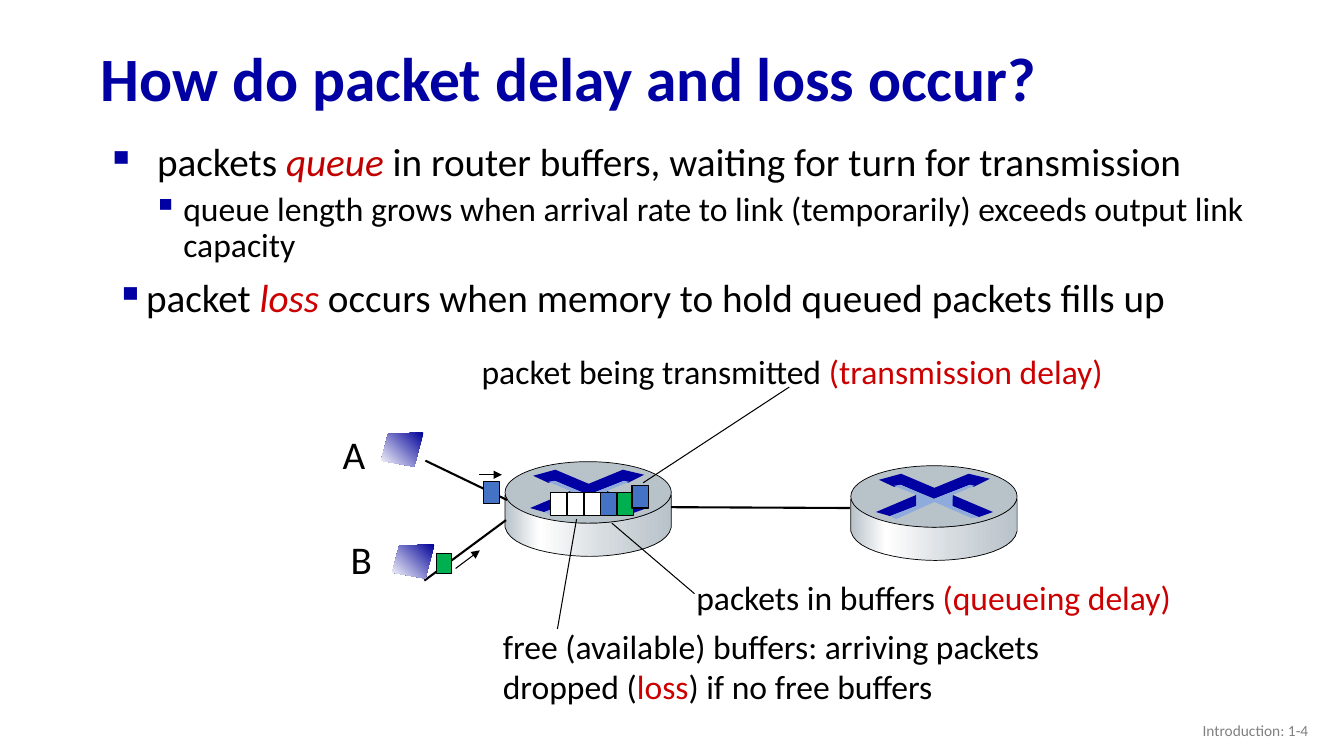
from lxml import etree
from pptx import Presentation
from pptx import util as u
from pptx.dml.color import RGBColor
from pptx.enum import shapes, text
from pptx.oxml.ns import qn

# The grid has 10 columns and 10 rows to the inch.
CELL = u.Inches(0.1)
COLUMNS, ROWS = 133.33, 75

NAVY = RGBColor(0x00, 0x00, 0xA3)
LAPTOP_NAVY = RGBColor(0x00, 0x00, 0x99)
STEEL = RGBColor(0xB8, 0xC2, 0xC9)
PALE_STEEL = RGBColor(0xD6, 0xDC, 0xE0)
LIGHT_BLUE = RGBColor(0x8F, 0xAA, 0xDC)
BLUE = RGBColor(0x44, 0x72, 0xC4)
GREEN = RGBColor(0x00, 0xB0, 0x50)
DARK_RED = RGBColor(0xC0, 0x00, 0x00)
RED = RGBColor(0xCC, 0x00, 0x00)
GREY = RGBColor(0x80, 0x80, 0x80)
BLACK = RGBColor(0x00, 0x00, 0x00)
WHITE = RGBColor(0xFF, 0xFF, 0xFF)

# Router outlines, in grid cells from the router's top left corner.
TOP_ARROWS = [(11.7, 0.8), (13.8, 1.3), (12.2, 2.1), (11.8, 1.9), (8.2, 3.3),
              (5, 1.9), (4.3, 2.1), (2.8, 1.4), (5, 0.8), (8.3, 2.2)]
RIGHT_ARROW = [(10.1, 2.9), (14.1, 4.6), (12.7, 5.1), (10, 4)]
LEFT_ARROW = [(6.5, 2.9), (6.5, 4), (3.9, 5), (2.5, 4.6)]
ARROW_SIDES = [(4.3, 2), (4.9, 1.9), (8.3, 3.3), (11.8, 1.9), (12.3, 2),
               (10.1, 2.9), (10.1, 4), (12.7, 5.1), (12, 5.2), (8.3, 3.6),
               (4.5, 5.3), (3.9, 5), (6.5, 4), (6.5, 2.9)]
LAPTOP = [(4.2, 0), (0.7, 0.15), (0, 2.8), (3.3, 3.4)]


def cells(*counts):
    return [round(count * CELL) for count in counts]


def curve(start, pull_1, pull_2, end, steps=12):
    """Points of a cubic Bezier curve, without its start."""
    points = []
    for step in range(1, steps + 1):
        t = step / steps
        weights = ((1 - t) ** 3, 3 * t * (1 - t) ** 2, 3 * t * t * (1 - t), t ** 3)
        knots = (start, pull_1, pull_2, end)
        points.append(tuple(sum(w * knot[axis] for w, knot in zip(weights, knots))
                            for axis in (0, 1)))
    return points


def paint(shape, fill, outline):
    """Fill with a colour, or with a (stops, angle) gradient, and set the outline."""
    shape.shadow.inherit = False
    if isinstance(fill, RGBColor):
        shape.fill.solid()
        shape.fill.fore_color.rgb = fill
    else:
        stops, angle = fill
        shape.fill.gradient()
        shape.fill.gradient_angle = angle
        stop_list = shape.element.spPr.find(".//" + qn("a:gsLst"))
        for old_stop in list(stop_list):
            stop_list.remove(old_stop)
        for percent, colour in stops:
            stop = etree.SubElement(stop_list, qn("a:gs"), pos=str(percent * 1000))
            etree.SubElement(stop, qn("a:srgbClr"), val=str(colour))
    if outline:
        shape.line.color.rgb = BLACK
        shape.line.width = u.Pt(outline)
    else:
        shape.line.fill.background()


def add_outline(slide, origin, points, fill, outline=None):
    corners = [cells(origin[0] + x, origin[1] + y) for x, y in points]
    builder = slide.shapes.build_freeform(*corners[0])
    builder.add_line_segments(corners[1:], close=True)
    paint(builder.convert_to_shape(), fill, outline)


def add_preset(slide, kind, box, fill, outline):
    paint(slide.shapes.add_shape(kind, *cells(*box)), fill, outline)


def add_packet(slide, column, row, colour, width=1.6, height=2.2):
    add_preset(slide, shapes.MSO_SHAPE.RECTANGLE, (column, row, width, height), colour, 0.75)


def add_line(slide, start, end, weight=0.75, arrow=False):
    line = slide.shapes.add_connector(shapes.MSO_CONNECTOR.STRAIGHT, *cells(*start, *end))
    line.line.color.rgb = BLACK
    line.line.width = u.Pt(weight)
    if arrow:
        etree.SubElement(line.line._get_or_add_ln(), qn("a:tailEnd"), type="triangle")
    etree.SubElement(line.element.spPr, qn("a:effectLst"))


def set_bullet(paragraph, left, hanging):
    props = paragraph._p.get_or_add_pPr()
    props.set("marL", str(u.Inches(left)))
    props.set("indent", str(-u.Inches(hanging)))
    colour = etree.SubElement(props, qn("a:buClr"))
    etree.SubElement(colour, qn("a:srgbClr"), val=str(NAVY))
    etree.SubElement(props, qn("a:buChar"), char="▪")


def write(paragraph, words, size=24, colour=BLACK, accent=RED, bold=False, slant=False,
          align=text.PP_ALIGN.LEFT, spacing=None, before=0, bullet=None):
    """Write words into a paragraph; parts between | marks take the accent colour."""
    paragraph.alignment = align
    paragraph.line_spacing = spacing
    paragraph.space_before = u.Pt(before)
    if bullet:
        set_bullet(paragraph, *bullet)
    for index, part in enumerate(words.split("|")):
        if not part:
            continue
        accented = index % 2 == 1
        run = paragraph.add_run()
        run.text = part
        run.font.name = "Calibri"
        run.font.size = u.Pt(size)
        run.font.bold = bold
        run.font.italic = slant and accented
        run.font.color.rgb = accent if accented else colour


def add_text(slide, box, *lines, wrap=False, anchor=text.MSO_ANCHOR.TOP, **style):
    """Add a text box; a line is its words, or (words, format of its own)."""
    frame = slide.shapes.add_textbox(*cells(*box)).text_frame
    frame.word_wrap = wrap
    frame.vertical_anchor = anchor
    for index, line in enumerate(lines):
        words, own = (line, {}) if isinstance(line, str) else line
        paragraph = frame.add_paragraph() if index else frame.paragraphs[0]
        write(paragraph, words, **{**style, **own})


def add_router(slide, column, row):
    origin = (column, row)
    metal = ([(0, STEEL), (21, WHITE), (60, PALE_STEEL), (100, STEEL)], 0)
    side = [(16.5, 3.3), (16.5, 6.5),
            *curve((16.5, 6.5), (16.1, 8.7), (11.1, 9.4), (8.4, 9.4)),
            *curve((8.4, 9.4), (5.6, 9.4), (0.5, 8.7), (0, 6.5)), (0, 3.3),
            *curve((0, 3.3), (0.8, 5.2), (5.5, 6.1), (8.3, 6.1)),
            *curve((8.3, 6.1), (11, 6.1), (15.8, 5.4), (16.5, 3.3))]
    add_outline(slide, origin, side, metal, 0.5)
    add_preset(slide, shapes.MSO_SHAPE.OVAL, (column, row, 16.5, 6.1), STEEL, 0.5)
    for arrow in (TOP_ARROWS, RIGHT_ARROW, LEFT_ARROW):
        add_outline(slide, origin, arrow, NAVY)
    add_outline(slide, origin, ARROW_SIDES, LIGHT_BLUE)


def add_host(slide, name, label_box, laptop_at):
    add_text(slide, label_box, name, size=28)
    add_outline(slide, laptop_at, LAPTOP, ([(0, LAPTOP_NAVY), (100, WHITE)], 225))


def add_network(slide):
    add_line(slide, (63.2, 50.3), (84.3, 50.4), weight=1.5)
    add_router(slide, 50.1, 45.8)
    add_router(slide, 84.4, 46.2)
    add_line(slide, (42.2, 45.7), (50.3, 49.6), weight=1.5)
    add_line(slide, (42.1, 57.6), (50.2, 51.6), weight=1.5)
    add_host(slide, "A", (33, 42.2, 4.3, 5.7), (37.8, 42.9))
    add_host(slide, "B", (33.8, 52.6, 4.2, 5.7), (38.9, 54))
    add_packet(slide, 48, 47.8, BLUE)
    add_packet(slide, 43.3, 54.9, GREEN, width=1.5, height=2)
    add_line(slide, (47.5, 47.1), (49.8, 47.1), arrow=True)
    add_line(slide, (45.2, 56.4), (47.6, 54.6), arrow=True)
    for slot, colour in enumerate((WHITE, WHITE, WHITE, BLUE, GREEN)):
        add_packet(slide, 54.6 + 1.67 * slot, 48.9, colour)
    add_packet(slide, 62.7, 48.2, BLUE)


def add_callouts(slide):
    add_text(slide, (46.8, 34.3, 64.3, 5.1), "packet being transmitted |(transmission delay)|")
    add_line(slide, (78.3, 38.4), (63.8, 47.9))
    add_text(slide, (68.1, 56.7, 49.6, 5.1), "packets in buffers |(queueing delay)|")
    add_line(slide, (68.9, 58.9), (60.7, 51.9))
    add_text(slide, (48.9, 61.6, 56.6, 9.1), "free (available) buffers: arriving packets",
             "dropped (|loss|) if no free buffers")
    add_line(slide, (55.3, 62.4), (57.2, 51.5))


def main():
    deck = Presentation()
    deck.slide_width, deck.slide_height = cells(COLUMNS, ROWS)
    slide = deck.slides.add_slide(deck.slide_layouts[6])
    add_text(slide, (9, 3.2, 115, 9.8), "How do packet delay and loss occur?", size=44,
             colour=NAVY, bold=True, spacing=0.9, wrap=True, anchor=text.MSO_ANCHOR.MIDDLE)
    add_text(slide, (9, 13.7, 121.8, 47.6),
             ("packets |queue| in router buffers, waiting for turn for transmission",
              {"bullet": (0.56, 0.5), "accent": DARK_RED}),
             ("queue length grows when arrival rate to link (temporarily) exceeds "
              "output link capacity", {"bullet": (0.82, 0.3), "size": 24, "before": 5}),
             ("packet |loss| occurs when memory to hold queued packets fills up",
              {"bullet": (0.45, 0.3), "before": 10}),
             size=28, slant=True, spacing=0.9, wrap=True)
    add_network(slide)
    add_callouts(slide)
    add_text(slide, (100.8, 70.5, 30, 4), "Introduction: 1-4", size=11, colour=GREY, wrap=True,
             align=text.PP_ALIGN.RIGHT, anchor=text.MSO_ANCHOR.MIDDLE)
    deck.save("out.pptx")


if __name__ == "__main__":
    main()
